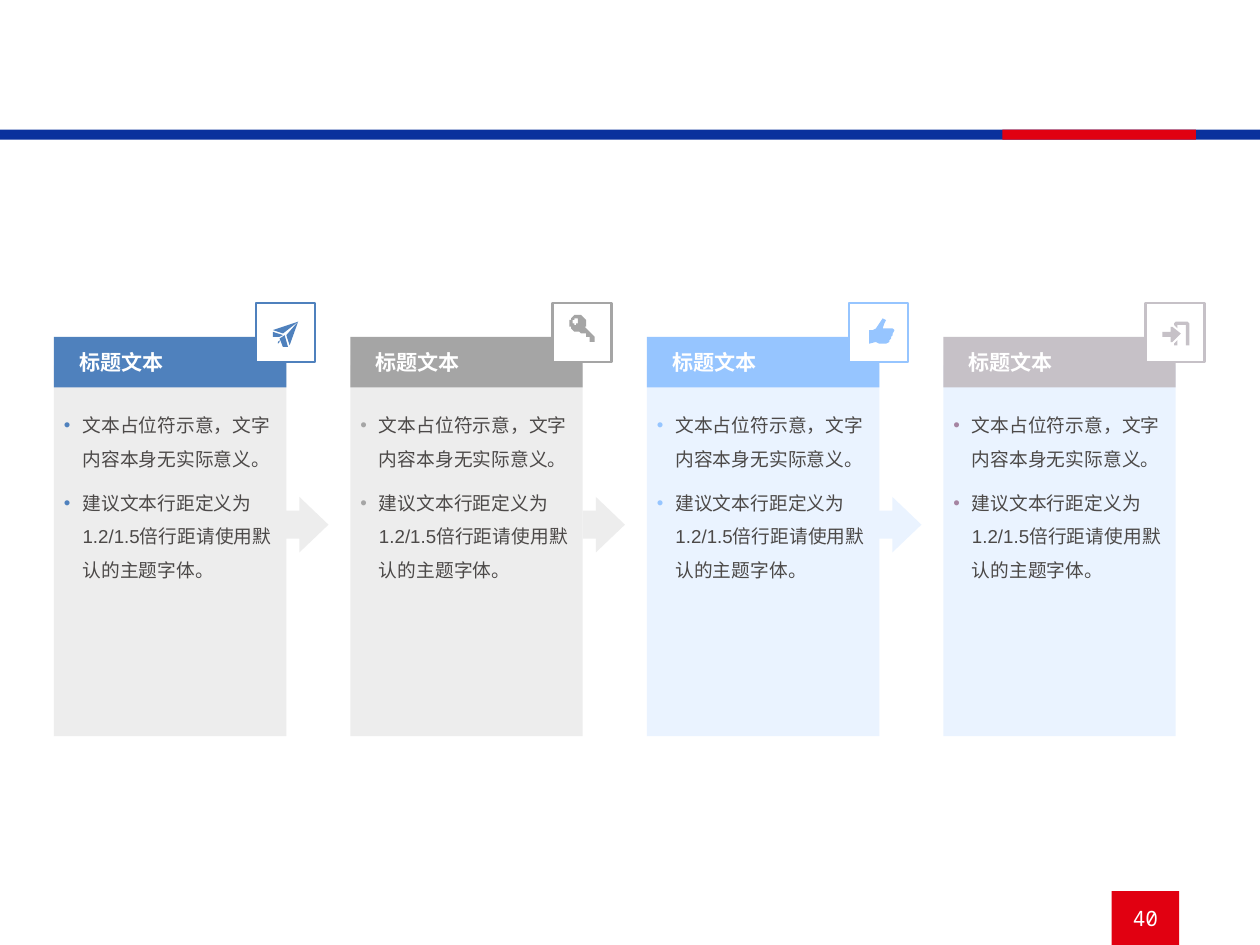
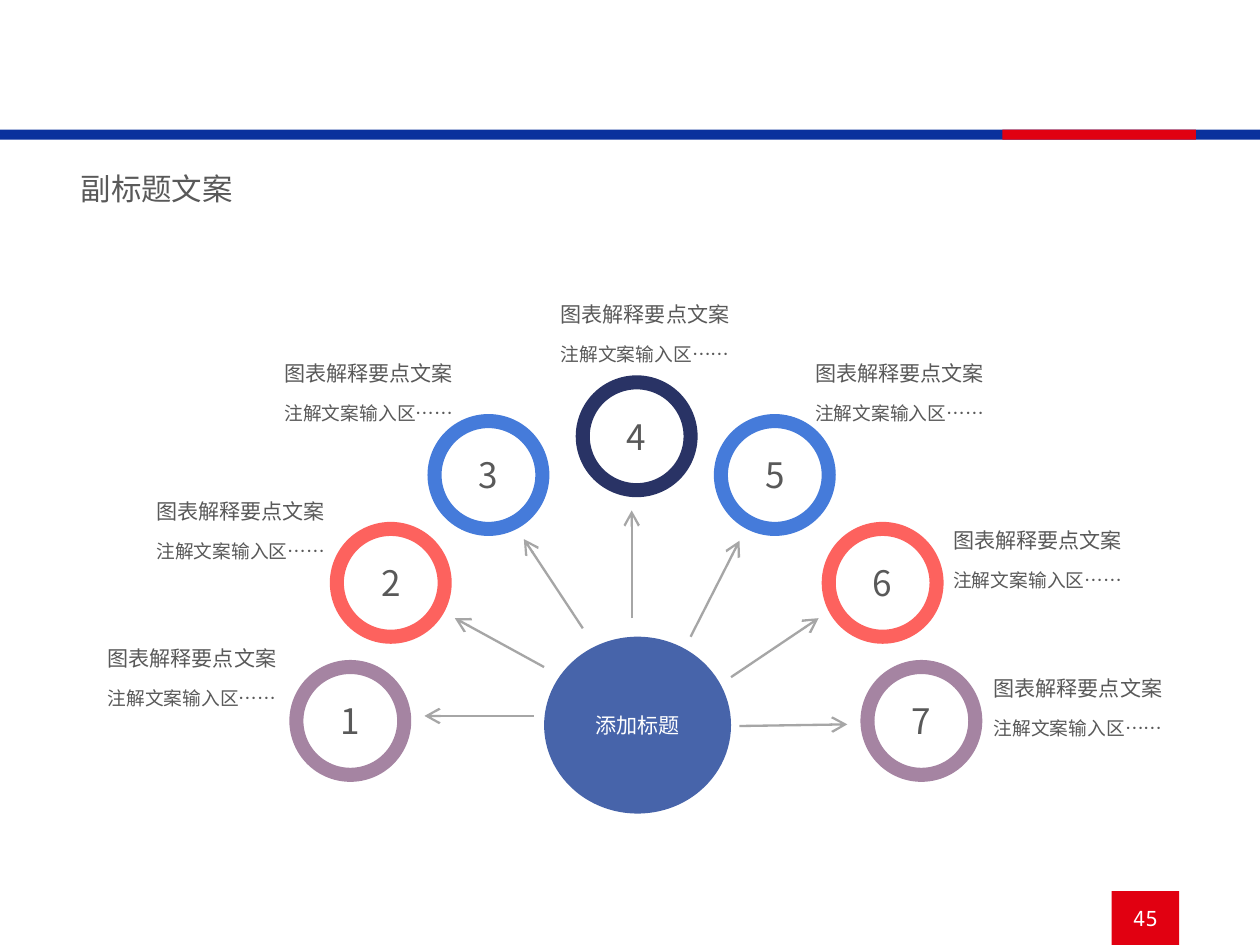
from dataclasses import dataclass
from math import cos, radians, sin

from lxml.etree import SubElement
from pptx import Presentation
from pptx.dml.color import RGBColor
from pptx.enum.shapes import MSO_CONNECTOR, MSO_SHAPE as SHAPE
from pptx.enum.text import MSO_ANCHOR as ANCHOR, PP_ALIGN as ALIGN
from pptx.oxml.ns import qn
from pptx.util import Inches, Pt

Point = tuple[float, float]
Outline = list[Point]


@dataclass(frozen=True)
class Theme:
    red: str = "E10011"
    navy: str = "0A319D"
    white: str = "FFFFFF"
    body: str = "4C4948"
    text: str = "595959"
    blue: str = "4F81BD"
    gray: str = "A5A5A5"
    sky: str = "96C5FF"
    mist: str = "C6C1C7"
    mauve: str = "A584A2"
    coral: str = "FD625E"
    azure: str = "457BDA"
    midnight: str = "293365"
    hub: str = "4764AA"
    arrow: str = "A6A6A6"
    cjk: str = "Noto Sans CJK SC"
    latin: str = "Arial"
    mono: str = "Noto Sans Mono"
    small: float = 8
    head: float = 9
    subtitle: float = 13
    number: float = 15


T = Theme()


@dataclass(frozen=True)
class Card:
    accent: str
    tint: str
    bullet: str
    icon: list[list[Outline]]


@dataclass(frozen=True)
class Node:
    circle: Point
    color: str
    label: Point
    start: Point
    end: Point


# Shared drawing helpers
def style(p, size: float, color: str, font: str = T.cjk, bold: bool = False) -> None:
    for r in p.runs:
        r.font.size, r.font.bold, r.font.name = Pt(size), bold, font
        r.font.color.rgb = RGBColor.from_string(color)
        SubElement(r._r.get_or_add_rPr(), qn("a:ea")).set("typeface", T.cjk)


def paint(sp, fill: str, line: str | None = None, width: float = 1,
          alpha: int = 100) -> None:
    sp.shadow.inherit = False
    sp.fill.solid()
    sp.fill.fore_color.rgb = RGBColor.from_string(fill)
    if alpha < 100:
        color = sp._element.spPr.find(f"{qn('a:solidFill')}/{qn('a:srgbClr')}")
        SubElement(color, qn("a:alpha")).set("val", str(alpha * 1000))
    if line:
        sp.line.color.rgb = RGBColor.from_string(line)
        sp.line.width = Pt(width)
    else:
        sp.line.fill.background()


def add_shape(s, kind, x: float, y: float, w: float, h: float, fill: str,
              line: str | None = None, width: float = 1, alpha: int = 100):
    sp = s.shapes.add_shape(kind, Inches(x), Inches(y), Inches(w), Inches(h))
    paint(sp, fill, line, width, alpha)
    return sp


def set_insets(tf, left: float, top: float, right: float, bottom: float) -> None:
    tf.margin_left, tf.margin_top = Inches(left), Inches(top)
    tf.margin_right, tf.margin_bottom = Inches(right), Inches(bottom)


def center_text(sp, text: str, size: float, color: str, font: str = T.cjk) -> None:
    tf = sp.text_frame
    tf.text, tf.vertical_anchor = text, ANCHOR.MIDDLE
    tf.paragraphs[0].alignment = ALIGN.CENTER
    style(tf.paragraphs[0], size, color, font)


def add_arrow(s, start: Point, end: Point) -> None:
    cn = s.shapes.add_connector(MSO_CONNECTOR.STRAIGHT,
                                *(Inches(v) for v in (*start, *end)))
    cn.line.color.rgb = RGBColor.from_string(T.arrow)
    cn.line.width = Pt(1)
    SubElement(cn.line._get_or_add_ln(), qn("a:tailEnd")).set("type", "arrow")
    SubElement(cn._element.spPr, qn("a:effectLst"))


def add_frame(s, page: int) -> None:
    add_shape(s, SHAPE.RECTANGLE, 0, 0.77, 7.48, 0.06, T.navy)
    add_shape(s, SHAPE.RECTANGLE, 5.95, 0.77, 1.15, 0.06, T.red)
    badge = add_shape(s, SHAPE.RECTANGLE, 6.6, 5.29, 0.4, 0.32, T.red)
    center_text(badge, str(page), T.head, T.white, T.mono)


# Icon outlines, in hundredths of an inch from the corner of the icon box
def arc(cx: float, cy: float, radius: float, first: int, last: int) -> Outline:
    step = 10 if last > first else -10
    return [(cx + radius * cos(radians(a)), cy + radius * sin(radians(a)))
            for a in range(first, last + step, step)]


PLANE = [
    [[(25.3, 11), (17.6, 18.7), (19.6, 24.6)]],
    [[(14.3, 20.7), (16, 25.7), (18.7, 25.7), (17, 19.4)]],
    [[(24.8, 10.8), (9.7, 16), (16.5, 18.2)]],
    [[(16.3, 18.8), (9.7, 16.7), (10.2, 19.8), (14.2, 20.5)]],
    [[(13, 23), (13, 24.5), (14.3, 23.3), (13.8, 22)]],
]
KEY = [[
    arc(15, 12, 5, 80, 390) + [(25.3, 20), (25.3, 22.6), (22.4, 22.6), (22.4, 20.3),
                               (19.9, 20.3), (19.9, 18), (17.3, 18)],
    arc(13.7, 10.9, 1.7, 360, 0),
]]
THUMB = [[[
    (20.5, 8.7), (18.5, 12), (16, 15.2), (14, 16.5), (12.5, 16.3), (11.6, 20),
    (12.5, 23.6), (16, 23.4), (18, 24.4), (22.5, 24.2), (24, 23), (24, 22),
    (25.2, 21.2), (25.2, 20), (26.3, 19), (26.1, 17.6), (26.7, 16.5),
    (25.8, 15.3), (22, 14.8), (19.8, 14.8), (21.3, 12.3), (21.6, 9.6),
]]]
ENTER = [
    [[(17, 12), (18, 11), (25.2, 11), (26, 11.8), (26, 25), (23.7, 25),
      (23.7, 13.3), (19.3, 13.3), (19.3, 15), (17, 13)]],
    [[(17, 25), (19.3, 25), (19.3, 22), (17, 24)]],
    [[(15, 14), (16, 14), (21, 18.4), (16, 23), (15, 23), (15, 20), (10.4, 20),
      (10.4, 17), (15, 17)]],
]


def add_icon(s, x: float, y: float, parts: list[list[Outline]], color: str) -> None:
    for outlines in parts:
        builder = None
        for first, *rest in outlines:
            if builder is None:
                builder = s.shapes.build_freeform(*first, scale=Inches(0.01))
            else:
                builder.move_to(*first)
            builder.add_line_segments(rest, close=True)
        paint(builder.convert_to_shape(Inches(x), Inches(y)), color)


# Card slide
BULLETS = ["文本占位符示意，文字内容本身无实际意义。",
           "建议文本行距定义为1.2/1.5倍行距请使用默认的主题字体。"]
CARDS = [Card(T.blue, T.gray, T.blue, PLANE), Card(T.gray, T.gray, T.gray, KEY),
         Card(T.sky, T.sky, T.sky, THUMB), Card(T.mist, T.sky, T.mauve, ENTER)]
CARD_LEFT, CARD_PITCH, CARD_W = 0.32, 1.76, 1.38


def add_bullet(p, color: str) -> None:
    pPr = p._p.get_or_add_pPr()
    pPr.set("marL", str(Inches(0.11)))
    pPr.set("indent", str(-Inches(0.11)))
    SubElement(SubElement(pPr, qn("a:buClr")), qn("a:srgbClr")).set("val", color)
    SubElement(pPr, qn("a:buFont")).set("typeface", T.latin)
    SubElement(pPr, qn("a:buChar")).set("char", "•")


def add_card(s, x: float, card: Card, has_next: bool) -> None:
    panel = add_shape(s, SHAPE.RECTANGLE, x, 2.17, CARD_W, 2.2, card.tint, alpha=20)
    tf = panel.text_frame
    tf.vertical_anchor = ANCHOR.TOP
    set_insets(tf, 0.06, 0.22, 0.06, 0.11)
    tf.text = "\n".join(BULLETS)
    for p in tf.paragraphs:
        add_bullet(p, card.bullet)
        p.alignment, p.line_spacing, p.space_after = ALIGN.LEFT, 1.5, Pt(4.5)
        style(p, T.small, T.body, T.latin)

    header = add_shape(s, SHAPE.RECTANGLE, x, 2, CARD_W, 0.3, card.accent)
    tf = header.text_frame
    set_insets(tf, 0.15, 0.07, 0.15, 0.07)
    tf.text = "标题文本"
    tf.paragraphs[0].alignment = ALIGN.LEFT
    style(tf.paragraphs[0], T.head, T.white, bold=True)

    if has_next:
        arrow = add_shape(s, SHAPE.RIGHT_ARROW, x + CARD_W, 2.95, 0.25, 0.33,
                          card.tint, alpha=20)
        arrow.adjustments[0], arrow.adjustments[1] = 0.5, 0.69
    add_shape(s, SHAPE.RECTANGLE, x + 1.2, 1.8, 0.35, 0.35, T.white, card.accent)
    add_icon(s, x + 1.2, 1.8, card.icon, card.accent)


def build_cards(prs) -> None:
    s = prs.slides.add_slide(prs.slide_layouts[6])
    add_frame(s, 40)
    for i, card in enumerate(CARDS):
        add_card(s, CARD_LEFT + i * CARD_PITCH, card, i < len(CARDS) - 1)


# Radial slide
NODES = [
    Node((1.76, 3.96), T.mauve, (0.54, 3.78), (3.17, 4.25), (2.52, 4.25)),
    Node((2, 3.14), T.coral, (0.83, 2.91), (3.23, 3.96), (2.7, 3.67)),
    Node((2.58, 2.5), T.azure, (1.59, 2.09), (3.46, 3.73), (3.11, 3.2)),
    Node((3.46, 2.27), T.midnight, (3.23, 1.74), (3.75, 3.67), (3.75, 3.03)),
    Node((4.28, 2.5), T.azure, (4.74, 2.09), (4.1, 3.78), (4.39, 3.21)),
    Node((4.92, 3.14), T.coral, (5.56, 3.08), (4.34, 4.02), (4.86, 3.67)),
    Node((5.15, 3.96), T.mauve, (5.8, 3.96), (4.39, 4.31), (5.03, 4.3)),
]


def add_label(s, x: float, y: float) -> None:
    box = s.shapes.add_textbox(Inches(x), Inches(y), Inches(1.38), Inches(0.51))
    tf = box.text_frame
    tf.word_wrap = True
    tf.text = "图表解释要点文案\n注解文案输入区……"
    head, note = tf.paragraphs
    note.space_before = Pt(7)
    style(head, T.head, T.text)
    style(note, T.small, T.text)


def build_radial(prs) -> None:
    s = prs.slides.add_slide(prs.slide_layouts[5])
    add_frame(s, 45)
    title = s.shapes.title
    title.left, title.top = Inches(0.38), Inches(0.96)
    title.width, title.height = Inches(1.58), Inches(0.33)
    tf = title.text_frame
    tf.text, tf.vertical_anchor = "副标题文案", ANCHOR.TOP
    tf.paragraphs[0].alignment = ALIGN.LEFT
    style(tf.paragraphs[0], T.subtitle, T.text)

    hub = add_shape(s, SHAPE.FLOWCHART_CONNECTOR, 3.23, 3.78, 1.11, 1.05, T.hub)
    center_text(hub, "添加标题", T.head, T.white)
    for number, node in enumerate(NODES, 1):
        add_arrow(s, node.start, node.end)
        ring = add_shape(s, SHAPE.FLOWCHART_CONNECTOR, *node.circle, 0.64, 0.64,
                         T.white, node.color, 6)
        center_text(ring, str(number), T.number, T.text)
    for node in NODES:
        add_label(s, *node.label)


def main() -> None:
    prs = Presentation()
    prs.slide_width, prs.slide_height = Inches(7.48), Inches(5.61)
    build_cards(prs)
    build_radial(prs)
    prs.save("out.pptx")


if __name__ == "__main__":
    main()
